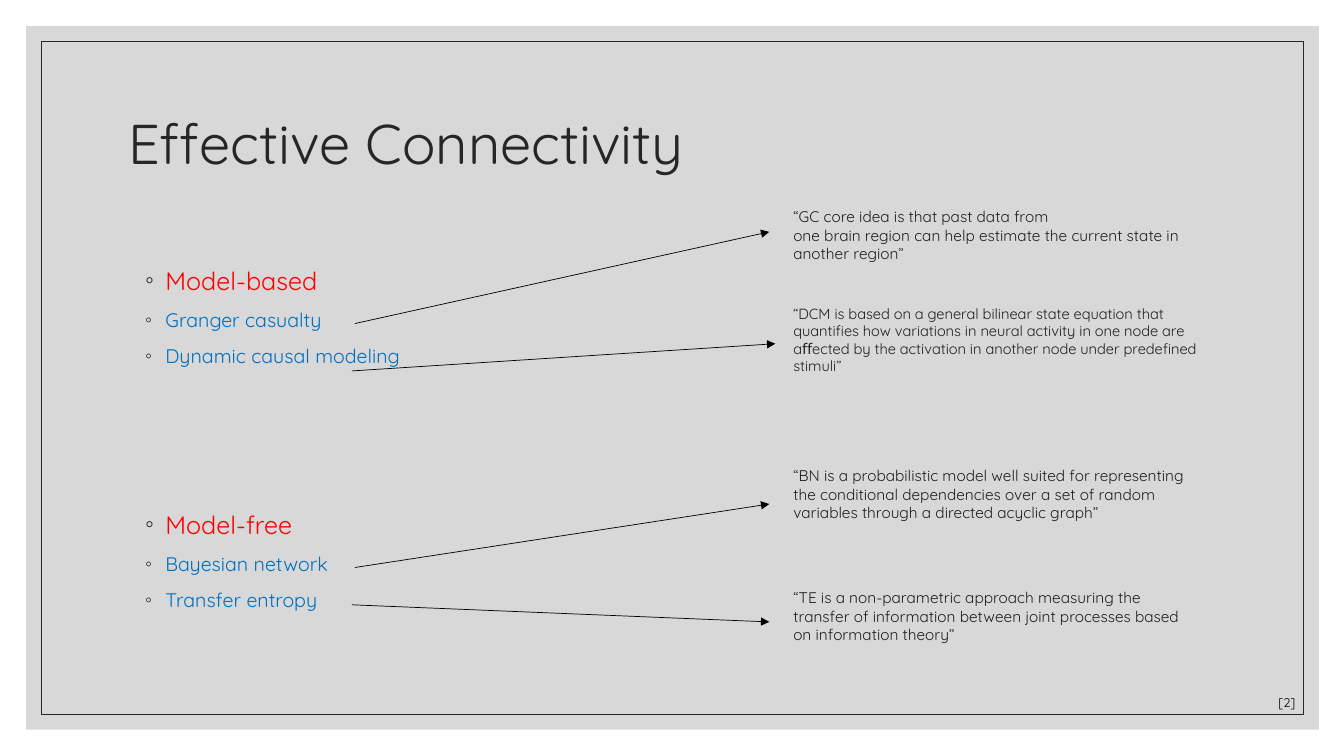
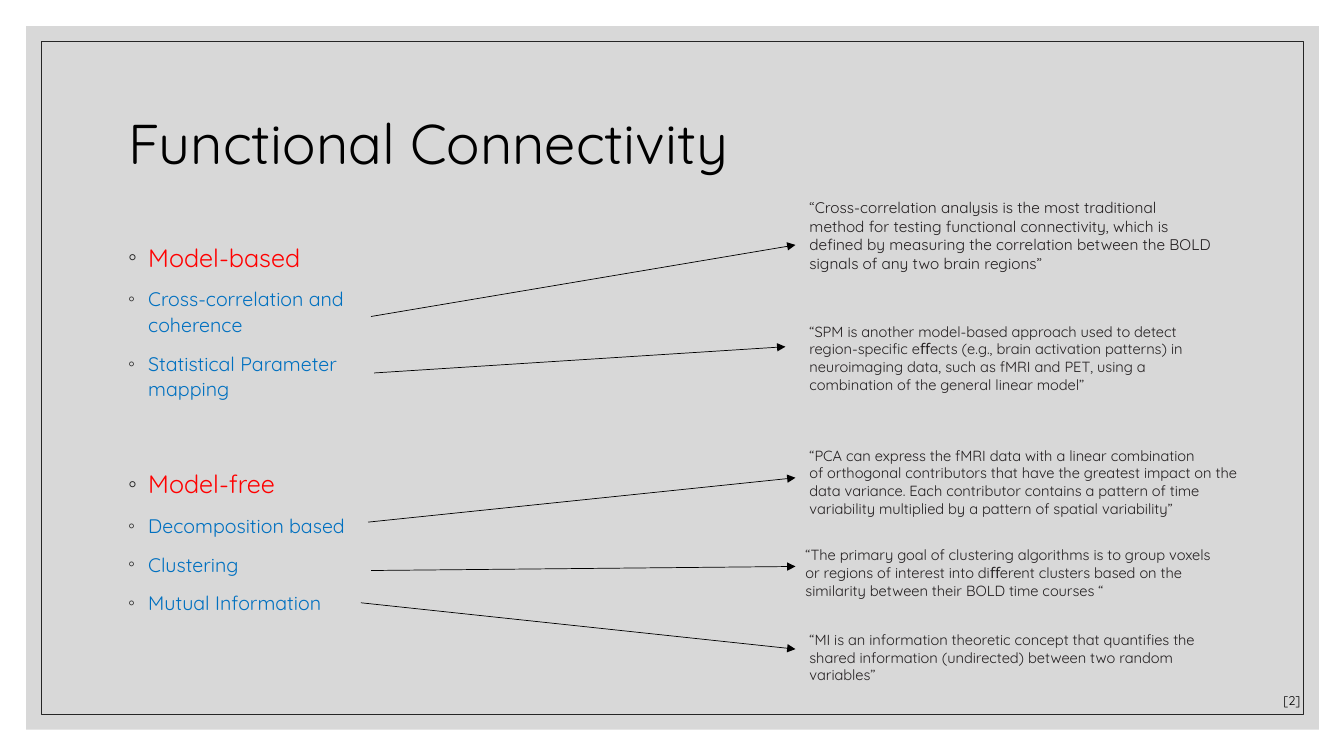
from collections import namedtuple

from lxml.etree import SubElement
from pptx import Presentation
from pptx.dml.color import RGBColor
from pptx.enum.shapes import MSO_CONNECTOR, MSO_SHAPE
from pptx.enum.text import MSO_ANCHOR, MSO_AUTO_SIZE, PP_ALIGN
from pptx.oxml.ns import qn
from pptx.util import Inches, Pt

FONT = "Quicksand"
COLORS = {
    "panel": "BFBFBF",
    "dark": "262626",
    "black": "000000",
    "heading": "FF0000",
    "method": "0070C0",
    "note": "231F20",
}
TWO_CONTENT = 3

Group = namedtuple("Group", "heading methods box")
Note = namedtuple("Note", "quote box size start end")

EFFECTIVE_GROUPS = [
    Group("Model-based", ["Granger casualty", "Dynamic causal modeling"], (1.34, 2.58, 2.83, 1.37)),
    Group("Model-free", ["Bayesian network", "Transfer entropy"], (1.34, 5, 3.91, 2.34)),
]
EFFECTIVE_NOTES = [
    Note("“GC core idea is that past data from\n"
         "one brain region can help estimate the current state in another region”",
         (7.77, 2.01, 4.23, 0.96), 11, (3.52, 3.21), (7.63, 2.3)),
    Note("“DCM is based on a general bilinear state equation that quantiﬁes how variations in "
         "neural activity in one node are aﬀected by the activation in another node under "
         "predeﬁned stimuli”",
         (7.77, 2.97, 4.31, 1.11), 10.5, (3.49, 3.68), (7.69, 3.41)),
    Note("“BN is a probabilistic model well suited for representing the conditional "
         "dependencies over a set of random variables through a directed acyclic graph”",
         (7.77, 4.58, 4.23, 0.96), 11, (3.52, 5.63), (7.63, 5)),
    Note("“TE is a non-parametric approach measuring the transfer of information between "
         "joint processes based on information theory”",
         (7.77, 5.79, 4.23, 0.96), 11, (3.49, 6), (7.63, 6.17)),
]
FUNCTIONAL_GROUPS = [
    Group("Model-based", ["Cross-correlation and coherence", "Statistical Parameter mapping"],
          (1.17, 2.32, 2.55, 1.88)),
    Group("Model-free", ["Decomposition based", "Clustering", "Mutual Information"],
          (1.17, 4.57, 2.67, 2.16)),
]
FUNCTIONAL_NOTES = [
    Note("“Cross-correlation analysis is the most traditional method for testing functional "
         "connectivity, which is deﬁned by measuring the correlation between the BOLD signals "
         "of any two brain regions”",
         (7.93, 1.92, 4.23, 1.03), 11, (3.68, 3.14), (7.89, 2.43)),
    Note("“SPM is another model-based approach used to detect region-speciﬁc eﬀects (e.g., "
         "brain activation patterns) in neuroimaging data, such as fMRI and PET, using a "
         "combination of the general linear model”",
         (7.93, 3.15, 4.23, 1.11), 10.5, (3.71, 3.7), (7.79, 3.44)),
    Note("“PCA can express the fMRI data with a linear combination\n"
         "of orthogonal contributors that have the greatest impact on the data variance. Each "
         "contributor contains a pattern of time variability multiplied by a pattern of "
         "spatial variability”",
         (7.93, 4.38, 4.53, 0.81), 10.5, (3.65, 5.18), (7.89, 4.74)),
    Note("“The primary goal of clustering algorithms is to group voxels or regions of interest "
         "into diﬀerent clusters based on the similarity between their BOLD time courses “",
         (7.89, 5.37, 4.31, 0.93), 10.5, (3.68, 5.66), (7.89, 5.62)),
    Note("“MI is an information theoretic concept that quantiﬁes the shared information "
         "(undirected) between two random variables”",
         (7.93, 6.21, 4.23, 0.93), 10.5, (3.58, 5.98), (7.89, 6.44)),
]


def rgb(color):
    """Return the named colour."""
    return RGBColor.from_string(COLORS[color])


def inches(lengths):
    """Convert several numbers to lengths."""
    return [Inches(length) for length in lengths]


def place(shape, box):
    """Move and size a shape."""
    shape.left, shape.top, shape.width, shape.height = inches(box)


def style(paragraph, size, color):
    """Format and left-align a paragraph."""
    paragraph.alignment = PP_ALIGN.LEFT
    paragraph.font.name = FONT
    paragraph.font.size = Pt(size)
    paragraph.font.color.rgb = rgb(color)


def add_panel(slide, box):
    """Add a plain rectangle without shadow."""
    panel = slide.shapes.add_shape(MSO_SHAPE.RECTANGLE, *inches(box))
    panel.shadow.inherit = False
    return panel


def build_master_frame(prs, slide):
    """Draw the grey panel and its border, and move them to the master."""
    backdrop = add_panel(slide, (0.26, 0.26, 12.82, 6.98))
    backdrop.fill.solid()
    backdrop.fill.fore_color.rgb = rgb("panel")
    backdrop.line.fill.background()
    tint = backdrop.element.spPr.find(qn("a:solidFill")).find(qn("a:srgbClr"))
    SubElement(tint, qn("a:alpha"), val="60000")

    border = add_panel(slide, (0.41, 0.41, 12.52, 6.68))
    border.fill.background()
    border.line.color.rgb = rgb("dark")
    border.line.width = Pt(0.5)

    for offset, panel in enumerate((backdrop, border)):
        panel.element.find(qn("p:nvSpPr")).find(qn("p:cNvPr")).set("id", str(100 + offset))
        prs.slide_master.shapes.element.insert(2 + offset, panel.element)


def fill_title(slide, heading, color):
    """Write the slide title."""
    title = slide.shapes.title
    place(title, (1.17, 0.7, 11, 1.5))
    title.text_frame.text = heading
    title.text_frame.vertical_anchor = MSO_ANCHOR.MIDDLE
    title.text_frame.auto_size = MSO_AUTO_SIZE.NONE
    paragraph = title.text_frame.paragraphs[0]
    paragraph.line_spacing = 0.9
    style(paragraph, 40, color)


def add_bullet(paragraph):
    """Give a paragraph a hanging ring bullet."""
    properties = paragraph._p.get_or_add_pPr()
    properties.set("marL", str(Inches(0.2)))
    properties.set("indent", str(Inches(-0.2)))
    bullet_color = SubElement(properties, qn("a:buClr"))
    SubElement(bullet_color, qn("a:srgbClr"), val=COLORS["dark"])
    SubElement(properties, qn("a:buChar"), char="◦")


def fill_group(body, group, line_spacing):
    """Write a heading and its methods as a list."""
    place(body, group.box)
    frame = body.text_frame
    frame.text = "\n".join([group.heading, *group.methods])
    frame.auto_size = MSO_AUTO_SIZE.NONE
    frame.vertical_anchor = MSO_ANCHOR.TOP
    for position, paragraph in enumerate(frame.paragraphs):
        paragraph.line_spacing = line_spacing
        paragraph.space_before = Pt(9)
        add_bullet(paragraph)
        style(paragraph, *((14, "method") if position else (18, "heading")))


def add_text(slide, text, box, size, color):
    """Add a wrapped text box."""
    frame = slide.shapes.add_textbox(*inches(box)).text_frame
    frame.word_wrap = True
    frame.text = text
    for paragraph in frame.paragraphs:
        style(paragraph, size, color)


def add_arrow(slide, start, end):
    """Add a thin straight arrow."""
    arrow = slide.shapes.add_connector(MSO_CONNECTOR.STRAIGHT, *inches(start + end))
    arrow.line.color.rgb = rgb("black")
    arrow.line.width = Pt(0.5)
    SubElement(arrow.line._get_or_add_ln(), qn("a:tailEnd"), type="triangle")
    SubElement(arrow.element.spPr, qn("a:effectLst"))


def fill_slide(slide, heading, title_color, groups, line_spacing, notes, citation_corner):
    """Write one overview of methods with their explanations."""
    fill_title(slide, heading, title_color)
    for position, group in enumerate(groups, start=1):
        fill_group(slide.placeholders[position], group, line_spacing)
    for note in notes:
        add_text(slide, note.quote, note.box, note.size, "note")
        add_arrow(slide, note.start, note.end)
    add_text(slide, "[2]", citation_corner + (0.5, 0.25), 9, "black")


def main():
    """Build and save the presentation."""
    prs = Presentation()
    prs.slide_width, prs.slide_height = inches((13.33, 7.5))
    layout = prs.slide_layouts[TWO_CONTENT]
    effective, functional = [prs.slides.add_slide(layout) for _ in range(2)]
    build_master_frame(prs, effective)
    fill_slide(effective, "Effective Connectivity", "dark",
               EFFECTIVE_GROUPS, 1.0, EFFECTIVE_NOTES, (12.58, 6.84))
    fill_slide(functional, "Functional Connectivity", "black",
               FUNCTIONAL_GROUPS, 1.1, FUNCTIONAL_NOTES, (12.63, 6.82))
    prs.save("out.pptx")


if __name__ == "__main__":
    main()
